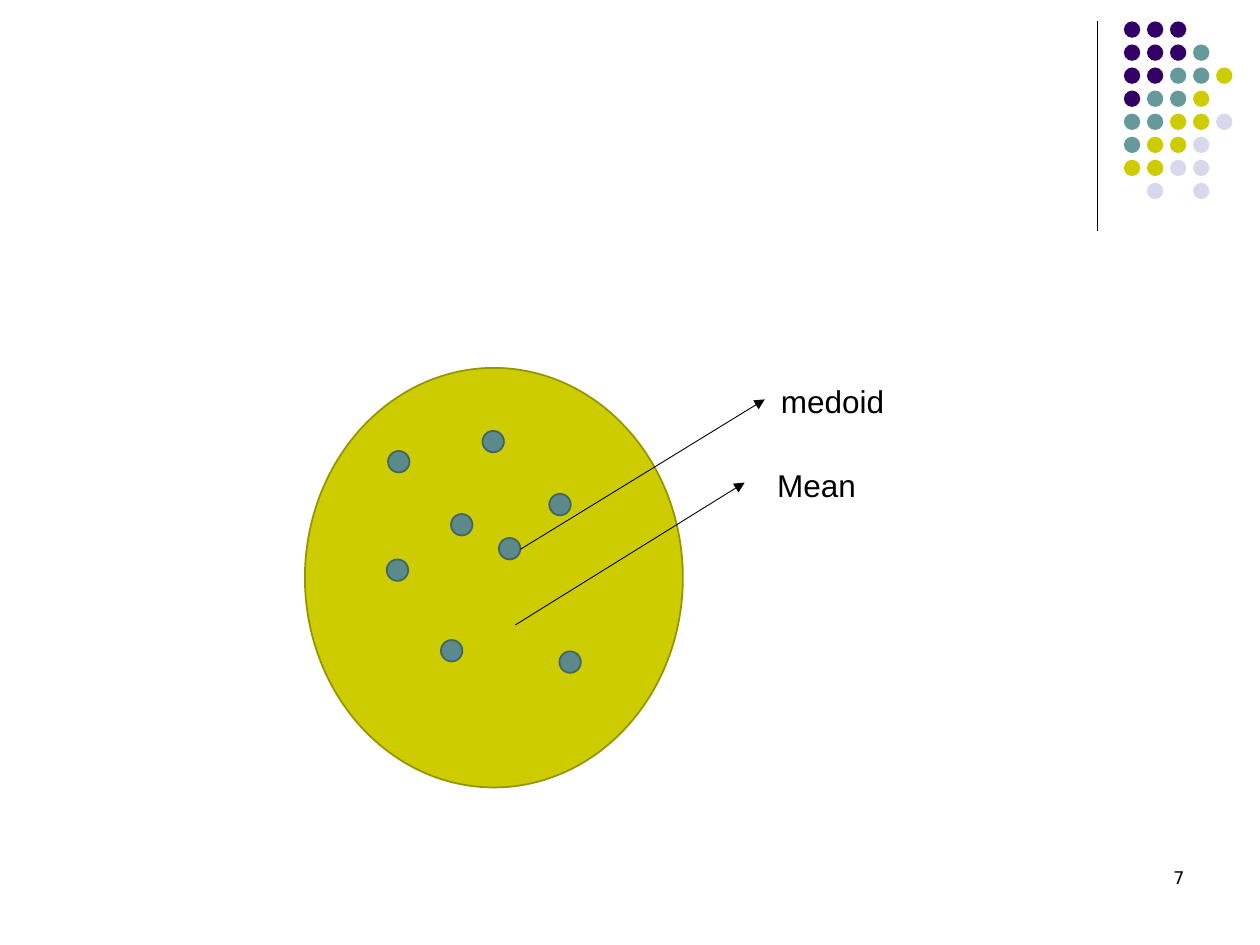
from lxml import etree
from pptx import Presentation
from pptx.dml.color import RGBColor
from pptx.enum.shapes import MSO_CONNECTOR, MSO_SHAPE
from pptx.enum.text import PP_ALIGN
from pptx.oxml.ns import qn
from pptx.util import Inches, Pt

OVAL = MSO_SHAPE.OVAL
STRAIGHT = MSO_CONNECTOR.STRAIGHT
LEFT, RIGHT = PP_ALIGN.LEFT, PP_ALIGN.RIGHT
BLANK_LAYOUT = 6

COLORS = {
    "ink": "000000",
    "purple": "330066",
    "teal": "669999",
    "olive": "CCCC00",
    "mist": "D8D8EC",
    "cluster line": "959500",
    "point": "5C8A8A",
    "point line": "416464",
}

# Corner ornament: one letter per dot, a space where there is none
DOT_ROWS = ["PPP", "PPPT", "PPTTO", "PTTO", "TTOOM", "TOOM", "OOMM", " M M"]
DOT_COLORS = {"P": "purple", "T": "teal", "O": "olive", "M": "mist"}
DOT_LEFT, DOT_TOP, DOT_PITCH, DOT_SIZE = 8.92, 0.17, 0.183, 0.13

# Left and top of each data point in the cluster
POINT_SIZE = 0.17
POINTS = [(3.08, 3.58), (3.83, 3.42), (3.07, 4.44), (3.58, 4.08),
          (4.36, 3.92), (4.44, 5.17), (3.5, 5.08), (3.96, 4.27)]


def color(name):
    return RGBColor.from_string(COLORS[name])


def add_oval(page, left, top, width, height, fill, line=None):
    oval = page.shapes.add_shape(
        OVAL, Inches(left), Inches(top), Inches(width), Inches(height))
    oval.shadow.inherit = False
    oval.fill.solid()
    oval.fill.fore_color.rgb = color(fill)
    if line:
        oval.line.color.rgb = color(line)
        oval.line.width = Pt(1)
    else:
        oval.line.fill.background()


def add_line(page, start, end, width, arrow=False):
    line = page.shapes.add_connector(
        STRAIGHT, *(Inches(length) for length in (*start, *end)))
    line.line.color.rgb = color("ink")
    line.line.width = Pt(width)
    if arrow:
        etree.SubElement(line.line._get_or_add_ln(), qn("a:tailEnd"), type="triangle")
    etree.SubElement(line._element.spPr, qn("a:effectLst"))


def add_text(page, text, left, top, width, height, size=18, font="Arial", align=LEFT):
    box = page.shapes.add_textbox(
        Inches(left), Inches(top), Inches(width), Inches(height))
    box.text_frame.word_wrap = True
    box.text_frame.text = text
    para = box.text_frame.paragraphs[0]
    para.alignment = align
    span = para.runs[0]
    span.font.size = Pt(size)
    span.font.name = font
    span.font.color.rgb = color("ink")


def add_ornament(page):
    add_line(page, (8.71, 0.17), (8.71, 1.83), 0.75)
    for row, letters in enumerate(DOT_ROWS):
        for column, letter in enumerate(letters):
            if letter in DOT_COLORS:
                add_oval(page, DOT_LEFT + column * DOT_PITCH, DOT_TOP + row * DOT_PITCH,
                         DOT_SIZE, DOT_SIZE, DOT_COLORS[letter])


def add_cluster(page):
    add_oval(page, 2.42, 2.92, 3, 3.33, "olive", "cluster line")
    for left, top in POINTS:
        add_oval(page, left, top, POINT_SIZE, POINT_SIZE, "point", "point line")


def main():
    deck = Presentation()
    deck.slide_width, deck.slide_height = Inches(10), Inches(7.5)
    page = deck.slides.add_slide(deck.slide_layouts[BLANK_LAYOUT])

    add_ornament(page)
    # Page number
    add_text(page, "7", 7.17, 6.83, 2.33, 0.5, size=10, font="DejaVu Sans", align=RIGHT)
    add_cluster(page)
    # Labelled centres
    add_line(page, (4.13, 4.36), (6.07, 3.17), 0.5, arrow=True)
    add_text(page, "medoid", 6.1, 2.98, 1.04, 0.4)
    add_line(page, (4.09, 4.96), (5.91, 3.83), 0.5, arrow=True)
    add_text(page, "Mean", 6.07, 3.65, 1.58, 0.4)

    deck.save("out.pptx")


if __name__ == "__main__":
    main()
